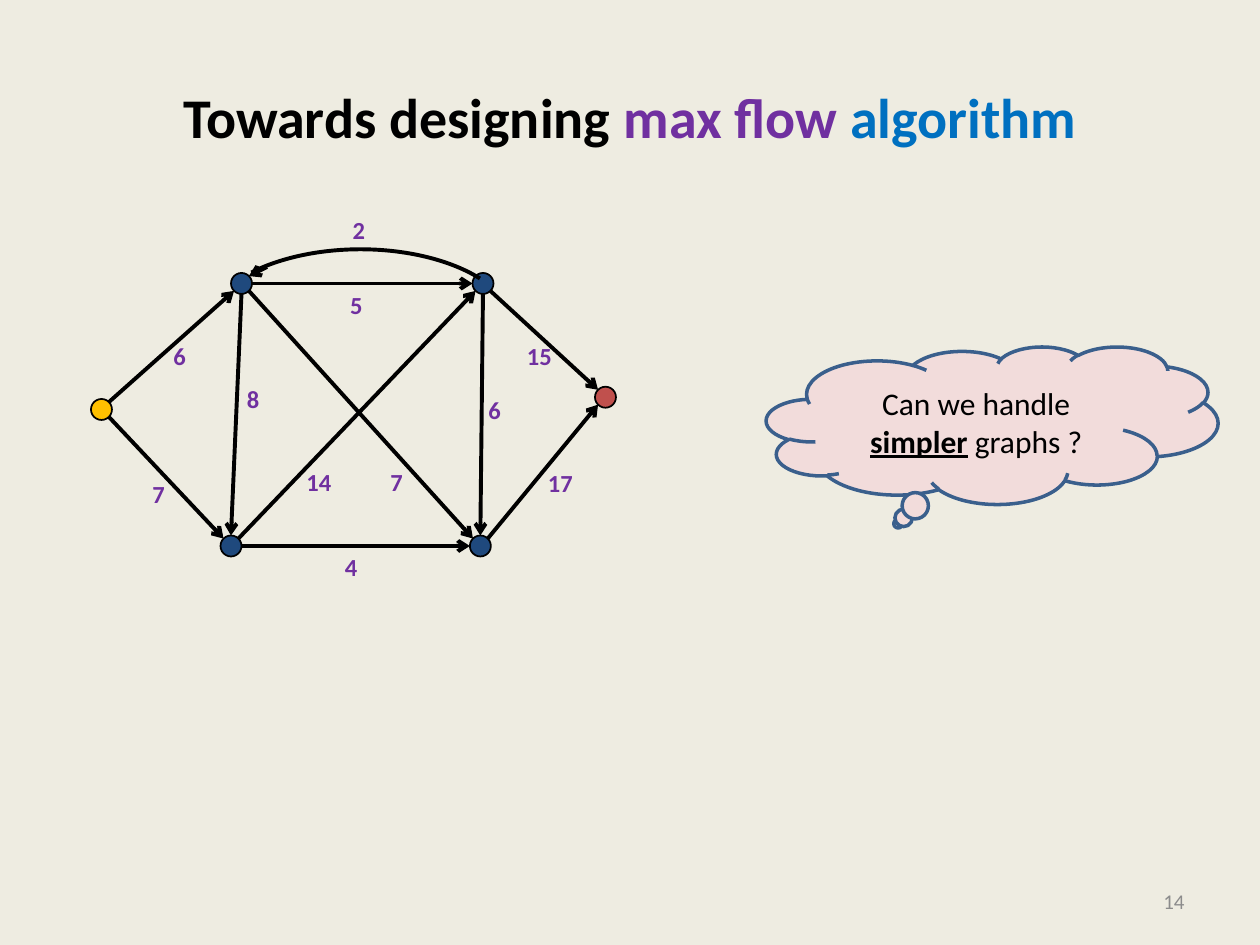
import math
import pptx
import pptx.util
import pptx.dml.color
import pptx.enum.shapes
import pptx.enum.text
import pptx.oxml
import pptx.oxml.ns

Pt = pptx.util.Pt
Kind = pptx.enum.shapes.MSO_SHAPE
Align = pptx.enum.text.PP_ALIGN
Mid = pptx.enum.text.MSO_ANCHOR.MIDDLE

BLACK, PURPLE, NAVY = "000000", "7030A0", "1F497D"
RAD = 6
TITLE = [("Towards designing ", BLACK), ("max flow ", PURPLE), ("algorithm", "0070C0")]
CLOUD = ["Can we handle ", "simpler", " graphs ?"]
NODES = {
    "s": (58, 234, "FFC000"),
    "a": (138, 162, NAVY),
    "b": (276, 162, NAVY),
    "c": (132, 312, NAVY),
    "d": (274.5, 312, NAVY),
    "t": (346, 227, "C0504D"),
}
EDGES = ["sa", "sc", "ab", "ac", "ad", "cb", "cd", "bd", "bt", "dt"]
LABELS = [
    ("2", 194.4, 119.5), ("5", 193, 162), ("6", 92, 191.5), ("8", 134, 216),
    ("7", 80, 270), ("4", 190, 312), ("14", 168, 263.5), ("7", 216, 263.5),
    ("6", 272, 222), ("15", 294, 191.5), ("17", 306, 264),
]


def shade(hue):
    return pptx.dml.color.RGBColor.from_string(hue)


def style(run, size, hue, bold=False):
    font = run.font
    font.name, font.size, font.bold = "Calibri", Pt(size), bold
    font.color.rgb = shade(hue)


def shape(kind, box, fill, line, width):
    item = slide.shapes.add_shape(kind, *map(Pt, box))
    item.shadow.inherit = False
    if fill:
        item.fill.solid()
        item.fill.fore_color.rgb = shade(fill)
    else:
        item.fill.background()
    item.line.color.rgb = shade(line)
    item.line.width = Pt(width)
    return item


def label(text, box, size, hue, bold, align, wrap):
    frame = slide.shapes.add_textbox(*map(Pt, box)).text_frame
    frame.word_wrap = wrap
    frame.text = text
    frame.paragraphs[0].alignment = align
    style(frame.paragraphs[0].runs[0], size, hue, bold)
    return frame


def arrow(start, end):
    straight = pptx.enum.shapes.MSO_CONNECTOR.STRAIGHT
    link = slide.shapes.add_connector(straight, *map(Pt, (*start, *end)))
    link.line.color.rgb = shade(BLACK)
    link.line.width = Pt(2.25)
    space = pptx.oxml.ns.nsdecls("a")
    tip = pptx.oxml.parse_xml(f'<a:tailEnd {space} type="arrow"/>')
    link.line._get_or_add_ln().append(tip)
    link._element.spPr.append(pptx.oxml.parse_xml(f"<a:effectLst {space}/>"))


def rim(here, there):
    x, y = NODES[here][:2]
    far = NODES[there]
    step = math.pi / 4
    turn = round(math.atan2(far[1] - y, far[0] - x) / step) * step
    return x + RAD * math.cos(turn), y + RAD * math.sin(turn)


deck = pptx.Presentation()
deck.slide_width, deck.slide_height = Pt(720), Pt(540)
slide = deck.slides.add_slide(deck.slide_layouts[5])
slide.background.fill.solid()
slide.background.fill.fore_color.rgb = shade("EEECE1")

title = slide.shapes.title
title.left, title.top, title.width, title.height = map(Pt, (36, 21.6, 648, 90))
title.text_frame.vertical_anchor = Mid
para = title.text_frame.paragraphs[0]
para.alignment = Align.CENTER
for text, hue in TITLE:
    run = para.add_run()
    run.text = text
    style(run, 32, hue, True)

page = label("14", (516, 500.5, 168, 28.75), 12, "8C8C8C", False, Align.RIGHT, True)
page.vertical_anchor = Mid

for x, y, hue in NODES.values():
    shape(Kind.OVAL, (x - RAD, y - RAD, 2 * RAD, 2 * RAD), hue, BLACK, 1)
for start, end in EDGES:
    arrow(rim(start, end), rim(end, start))

arc = shape(Kind.ARC, (117.5, 142.5, 177, 91.5), None, BLACK, 2.25)
arc.adjustments[0], arc.adjustments[1] = 124.53, 202.16
arrow((152.6, 152.6), (142.24, 157.76))

for text, x, y in LABELS:
    wide = 14.4 + 7.1 * len(text)
    label(text, (x, y, wide, 24.25), 14, PURPLE, True, Align.LEFT, False)

cloud = shape(Kind.CLOUD_CALLOUT, (438, 198, 258, 90), "F2DCDB", "3A5F8C", 2)
cloud.text_frame.word_wrap = True
cloud.text_frame.vertical_anchor = Mid
para = cloud.text_frame.paragraphs[0]
para.alignment = Align.CENTER
for text in CLOUD:
    run = para.add_run()
    run.text = text
    key = text == "simpler"
    style(run, 18, BLACK, key)
    run.font.underline = key

deck.save("out.pptx")
